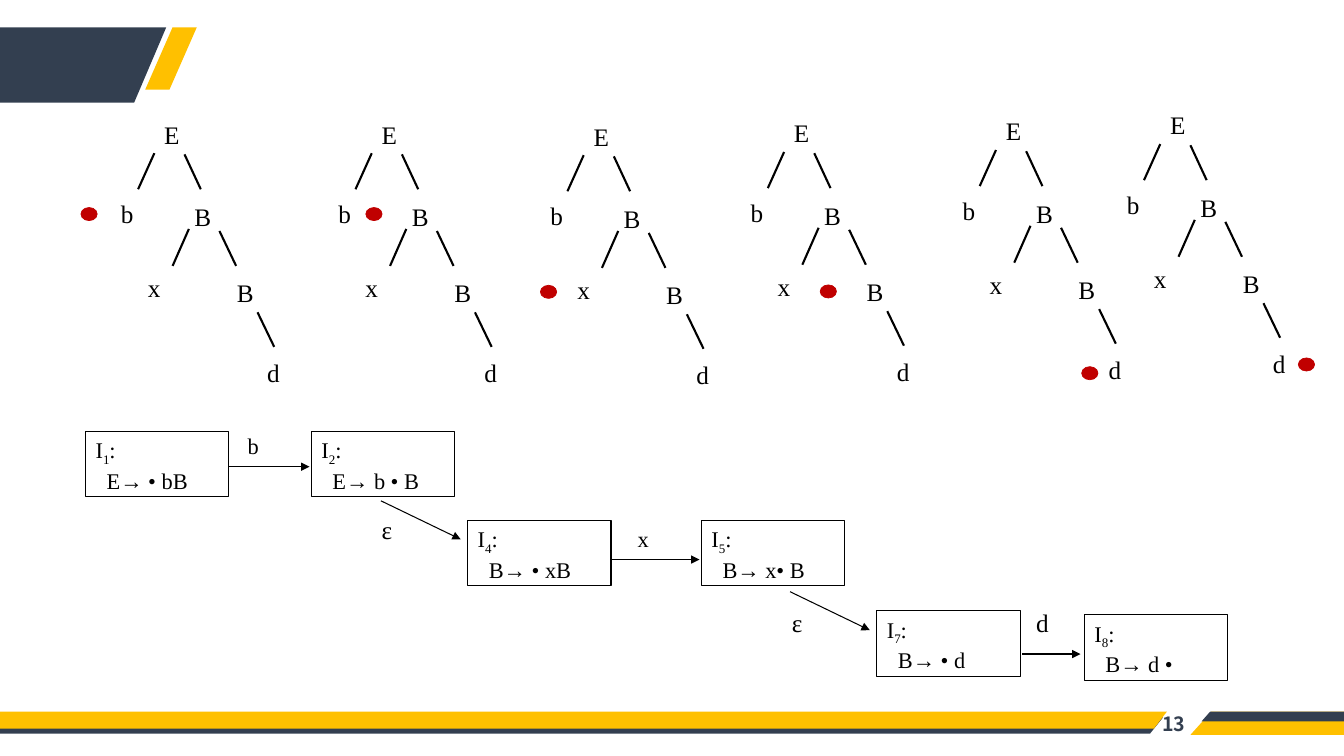
import lxml.etree
import pptx
import pptx.dml.color
import pptx.enum.shapes
import pptx.enum.text
import pptx.oxml.ns
import pptx.util
from dataclasses import dataclass

Cm = pptx.util.Cm
qn = pptx.oxml.ns.qn
SHAPE = pptx.enum.shapes.MSO_SHAPE
ALIGN = pptx.enum.text.PP_ALIGN
ANCHOR = pptx.enum.text.MSO_ANCHOR


@dataclass(frozen=True)
class Theme:
    navy: str = "333F50"
    gold: str = "FFC000"
    red: str = "C00000"
    black: str = "000000"
    white: str = "FFFFFF"
    serif: str = "Times New Roman"
    sans: str = "Noto Sans CJK SC"
    node: int = 18
    state: int = 16
    page: int = 14
    edge: float = 1.5
    thin: float = 0.75
    dot: float = 0.5


T = Theme()
WIDTH, HEIGHT = 33.87, 19.05
NODE_W, TEXT_H = 1.83, 1.02
STATE_SIZE = (3.61, 1.65)
DOT_SIZE = (0.41, 0.33)

BANDS = [
    (T.navy, [(0, 18.08), (29.31, 18.08), (28.98, 18.49), (0, 18.49)]),
    (T.gold, [(0, 17.93), (29.41, 17.93), (29.08, 18.36), (0, 18.36)]),
    (T.gold, [(30.53, 17.93), (WIDTH, 17.93), (WIDTH, 18.52), (30, 18.52)]),
    (T.navy, [(30.5, 17.93), (WIDTH, 17.93), (WIDTH, 18.18), (30.28, 18.18)]),
    (T.navy, [(0, 0.69), (4.19, 0.69), (3.38, 2.59), (0, 2.59)]),
]
SLASH = (3.66, 0.69, 1.3, 1.57)
PAGE = ("13", (28.93, 17.73, 1.19, TEXT_H))

NODES = [("E", 0, 0), ("b", -1.09, 2.01), ("B", 0.76, 2.08),
         ("B", 1.83, 3.99), ("x", -0.41, 3.86), ("d", 2.59, 6.02)]
EDGES = [(0, 0.99, -0.41, 1.9), (0.76, 1.02, 1.17, 1.9),
         (0.87, 2.9, 0.46, 3.83), (1.64, 2.95, 2.06, 3.83),
         (2.6, 5, 3.02, 5.87)]
TREES = [  # root position, then dot offset from the root
    ((3.89, 2.87), (-1.85, 2.36)),
    ((9.37, 2.87), (-0.15, 2.36)),
    ((14.71, 2.92), (-1.09, 4.27)),
    ((19.76, 2.84), (0.91, 4.34)),
    ((25.1, 2.79), (2.16, 6.45)),
    ((29.24, 2.64), (3.48, 6.38)),
]
STATES = [
    ("1", "E→ • bB", 2.16, 10.87),
    ("2", "E→ b • B", 7.85, 10.87),
    ("4", "B→ • xB", 11.79, 13.11),
    ("5", "B→ x• B", 17.68, 13.11),
    ("7", "B→ • d", 22.1, 15.39),
    ("8", "B→ d •", 27.33, 15.49),
]
MOVES = [
    ("b", T.state, (5.99, 10.77), (5.77, 11.76, 7.8, 11.76)),
    ("ε", T.node, (9.37, 12.83), (9.6, 12.62, 11.61, 13.59)),
    ("x", T.state, (15.82, 13.11), (15.42, 14.1, 17.63, 14.1)),
    ("ε", T.node, (19.71, 15.19), (19.91, 14.91, 21.92, 15.88)),
    ("d", T.node, (25.86, 15.19), (25.76, 16.48, 27.23, 16.48)),
]


def rgb(color):
    return pptx.dml.color.RGBColor.from_string(color)


def cms(values):
    return [Cm(v) for v in values]


def apply(target, values):
    for name, value in values.items():
        setattr(target, name, value)


def add_run(p, text, size, font=T.serif, color=T.black, bold=False):
    r = p.add_run()
    r.text = text
    apply(r.font, {"size": pptx.util.Pt(size), "name": font, "bold": bold})
    r.font.color.rgb = rgb(color)
    return r


def add_text(s, text, box, size, align=ALIGN.LEFT, anchor=ANCHOR.TOP, **font):
    tf = s.shapes.add_textbox(*cms(box)).text_frame
    apply(tf, {"word_wrap": True, "vertical_anchor": anchor})
    p = tf.paragraphs[0]
    p.alignment = align
    add_run(p, text, size, **font)


def paint(sp, fill, line=None, width=0):
    sp.shadow.inherit = False
    sp.fill.solid()
    sp.fill.fore_color.rgb = rgb(fill)
    if line:
        sp.line.color.rgb = rgb(line)
        sp.line.width = pptx.util.Pt(width)
    else:
        sp.line.fill.background()


def add_line(s, ends, width, arrow=False):
    sp = s.shapes.add_connector(pptx.enum.shapes.MSO_CONNECTOR.STRAIGHT, *cms(ends))
    sp.line.color.rgb = rgb(T.black)
    sp.line.width = pptx.util.Pt(width)
    if arrow:
        ln = sp.line._get_or_add_ln()
        lxml.etree.SubElement(ln, qn("a:tailEnd"), type="triangle")
    lxml.etree.SubElement(sp._element.spPr, qn("a:effectLst"))


def add_band(s, color, points):
    points = [cms(point) for point in points]
    builder = s.shapes.build_freeform(*points[0])
    builder.add_line_segments(points[1:], close=True)
    paint(builder.convert_to_shape(), color)


def add_tree(s, root, dot):
    x, y = root
    for text, dx, dy in NODES:
        add_text(s, text, (x + dx, y + dy, NODE_W, TEXT_H), T.node)
    for x1, y1, x2, y2 in EDGES:
        add_line(s, (x + x1, y + y1, x + x2, y + y2), T.edge)
    sp = s.shapes.add_shape(SHAPE.OVAL, *cms((x + dot[0], y + dot[1], *DOT_SIZE)))
    paint(sp, T.red, T.red, T.dot)


def add_state(s, number, item, x, y):
    sp = s.shapes.add_shape(SHAPE.RECTANGLE, *cms((x, y, *STATE_SIZE)))
    paint(sp, T.white, T.black, T.thin)
    tf = sp.text_frame
    apply(tf, {"word_wrap": True, "vertical_anchor": ANCHOR.TOP})
    head, body = tf.paragraphs[0], tf.add_paragraph()
    head.alignment = body.alignment = ALIGN.LEFT
    add_run(head, "I", T.state)
    sub = add_run(head, number, T.state)
    sub._r.get_or_add_rPr().set("baseline", "-25000")
    add_run(head, ":", T.state)
    body._p.get_or_add_pPr().set("marL", str(Cm(0.28)))
    add_run(body, item, T.state)


def main():
    prs = pptx.Presentation()
    apply(prs, {"slide_width": Cm(WIDTH), "slide_height": Cm(HEIGHT)})
    s = prs.slides.add_slide(prs.slide_layouts[6])
    for color, points in BANDS:
        add_band(s, color, points)
    slash = s.shapes.add_shape(SHAPE.PARALLELOGRAM, *cms(SLASH))
    slash.adjustments[0] = 0.53
    paint(slash, T.gold)
    text, box = PAGE
    add_text(s, text, box, T.page, ALIGN.RIGHT, ANCHOR.MIDDLE,
             font=T.sans, color=T.navy, bold=True)
    for root, dot in TREES:
        add_tree(s, root, dot)
    for state in STATES:
        add_state(s, *state)
    for label, size, place, ends in MOVES:
        add_line(s, ends, T.thin, arrow=True)
        add_text(s, label, (*place, NODE_W, TEXT_H), size)
    prs.save("out.pptx")


if __name__ == "__main__":
    main()
